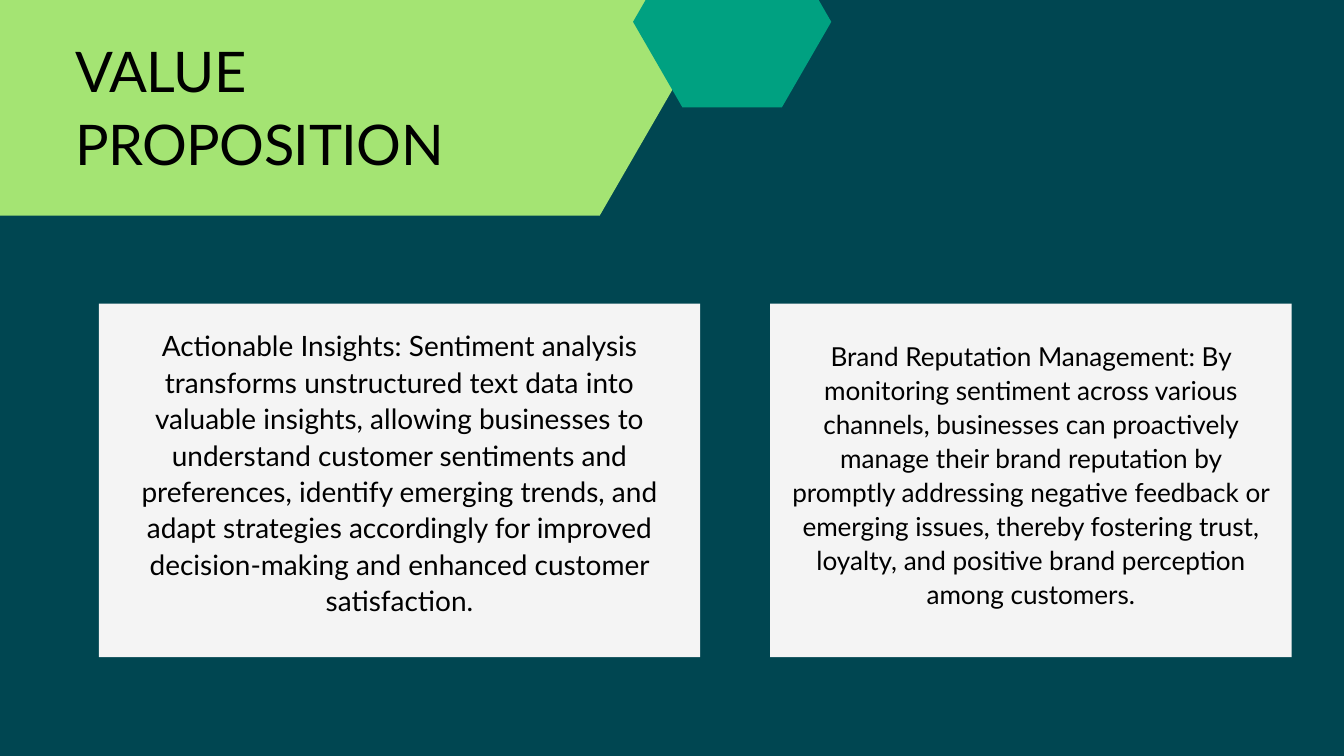
from pptx import Presentation
from pptx.dml.color import RGBColor
from pptx.enum.shapes import MSO_SHAPE
from pptx.enum.text import MSO_ANCHOR, MSO_AUTO_SIZE, PP_ALIGN
from pptx.util import Inches, Pt

RECT, HEX = MSO_SHAPE.RECTANGLE, MSO_SHAPE.HEXAGON
TOP, MIDDLE = MSO_ANCHOR.TOP, MSO_ANCHOR.MIDDLE
LEFT, CENTER = PP_ALIGN.LEFT, PP_ALIGN.CENTER
GROW = MSO_AUTO_SIZE.SHAPE_TO_FIT_TEXT

WIDE, HIGH = Inches(20), Inches(11.25)
COLS, ROWS = 20, 11.25
TEAL, LIME, GREEN, PALE, BLACK = "004651", "A4E473", "00A181", "F4F4F4", "000000"
REGULAR = 0.2887  # corner inset of a regular hexagon, as a share of its height

CARD_TOP, CARD_HIGH = 4.52, 5.26
# Left column, width, text top, font size, text
CARDS = [
    (1.47, 8.95, 4.26, 30,
     "Actionable Insights: Sentiment analysis transforms unstructured text data "
     "into valuable insights, allowing businesses to understand customer sentiments "
     "and preferences, identify emerging trends, and adapt strategies accordingly "
     "for improved decision-making and enhanced customer satisfaction."),
    (11.46, 7.76, 4.32, 28,
     "Brand Reputation Management: By monitoring sentiment across various channels, "
     "businesses can proactively manage their brand reputation by promptly addressing "
     "negative feedback or emerging issues, thereby fostering trust, loyalty, and "
     "positive brand perception among customers."),
]


def color(code):
    return RGBColor.from_string(code)


class Deck:
    """Holds the text style and the current slide."""

    font, ink, leading = "Lato", BLACK, 1.3

    def __init__(self):
        self.prs = Presentation()
        self.prs.slide_width, self.prs.slide_height = WIDE, HIGH
        self.slide = self.prs.slides.add_slide(self.prs.slide_layouts[6])

    def ground(self, code):
        fill = self.slide.background.fill
        fill.solid()
        fill.fore_color.rgb = color(code)

    def place(self, col, row, cols, rows):
        across, down = WIDE / COLS, HIGH / ROWS
        return (round(col * across), round(row * down),
                round(cols * across), round(rows * down))

    def block(self, kind, code, *area):
        shape = self.slide.shapes.add_shape(kind, *self.place(*area))
        shape.shadow.inherit = False
        shape.fill.solid()
        shape.fill.fore_color.rgb = color(code)
        shape.line.fill.background()
        return shape

    def hexagon(self, code, *area):
        self.block(HEX, code, *area).adjustments[0] = REGULAR

    def text(self, words, size, *area, align=LEFT, anchor=TOP, pad=0, track=0):
        box = self.slide.shapes.add_textbox(*self.place(*area))
        frame = box.text_frame
        frame.word_wrap = True
        frame.vertical_anchor = anchor
        frame.margin_left = frame.margin_right = Inches(pad)
        frame.margin_top = frame.margin_bottom = Inches(pad)
        para = frame.paragraphs[0]
        para.alignment = align
        para.line_spacing = Pt(size * self.leading)
        run = para.add_run()
        run.text = words
        run.font.name, run.font.size = self.font, Pt(size)
        run.font.color.rgb = color(self.ink)
        if track:
            run.font._element.set("spc", str(round(track * 100)))
        return frame


def main():
    deck = Deck()
    deck.ground(TEAL)

    # Header hexagons, running off the top and left edges
    deck.hexagon(LIME, -3.11, -3.6, 14, 6.81)
    deck.hexagon(GREEN, 9.42, -0.95, 2.95, 2.55)

    # Title
    title = deck.text("VALUE PROPOSITION", 60, 1.12, 0.46, 7.25, 2.16, track=-0.6)
    title.auto_size = GROW

    # Cards; each text area ends at the foot of its card
    foot = CARD_TOP + CARD_HIGH
    for col, cols, row, size, words in CARDS:
        deck.block(RECT, PALE, col, CARD_TOP, cols, CARD_HIGH)
        deck.text(words, size, col, row, cols, foot - row,
                  align=CENTER, anchor=MIDDLE, pad=0.28)

    deck.prs.save("out.pptx")


if __name__ == "__main__":
    main()
